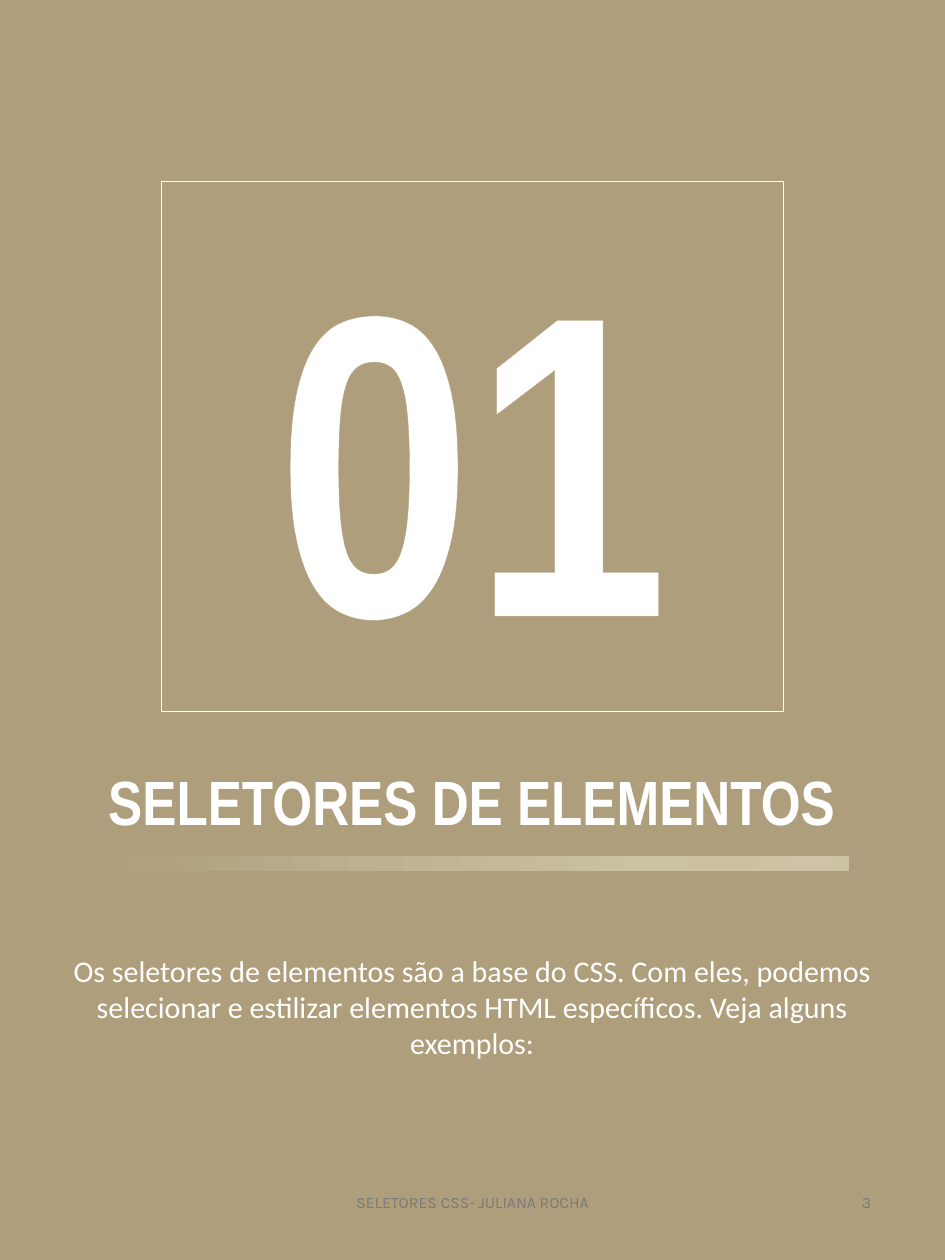
from lxml import etree
from pptx import Presentation
from pptx.dml.color import RGBColor
from pptx.enum.shapes import MSO_SHAPE
from pptx.enum.text import MSO_ANCHOR, MSO_AUTO_SIZE, PP_ALIGN
from pptx.oxml.ns import qn
from pptx.util import Cm, Pt

RECTANGLE = MSO_SHAPE.RECTANGLE
TOP, MIDDLE = MSO_ANCHOR.TOP, MSO_ANCHOR.MIDDLE
GROW, FIXED = MSO_AUTO_SIZE.SHAPE_TO_FIT_TEXT, MSO_AUTO_SIZE.NONE
CENTER, RIGHT = PP_ALIGN.CENTER, PP_ALIGN.RIGHT

COLORS = {
    "sand": "AF9E7B",
    "white": "FFFFFF",
    "gray": "797979",
    "sage": "CBC3A3",
    "beige": "CCBFA2",
    "cream": "CEC2A7",
}
BAR_STOPS = [(0, "sand"), (74, "sage"), (83, "beige"), (96, "cream"), (100, "sage")]

FORMATS = {
    "number": {"name": "Arial Narrow", "size": Pt(344), "bold": True},
    "title": {"name": "Arial Narrow", "size": Pt(50), "bold": True},
    "body": {"name": "Calibri", "size": Pt(24), "bold": False},
    "footer": {"name": "Karla", "size": Pt(12.6), "bold": False},
}


def rgb(color):
    """Return the named colour."""
    return RGBColor.from_string(COLORS[color])


def add_color_fill(parent, color):
    """Append a colour element to an XML parent."""
    etree.SubElement(parent, qn("a:srgbClr"), val=COLORS[color])


def add_rectangle(slide, box, fill=None, line=None, width=0.75):
    """Add a rectangle with an optional fill and outline."""
    shape = slide.shapes.add_shape(RECTANGLE, *map(Cm, box))
    shape.shadow.inherit = False
    if fill:
        shape.fill.solid()
        shape.fill.fore_color.rgb = rgb(fill)
    else:
        shape.fill.background()
    if line:
        shape.line.color.rgb = rgb(line)
        shape.line.width = Pt(width)
    else:
        shape.line.fill.background()
    return shape


def set_gradient(shape, stops):
    """Fill a shape with a left-to-right gradient."""
    shape.fill.gradient()
    shape.fill.gradient_angle = 0
    stop_list = next(shape.element.iter(qn("a:gsLst")))
    for stop in list(stop_list):
        stop_list.remove(stop)
    for position, color in stops:
        stop = etree.SubElement(stop_list, qn("a:gs"), pos=str(position * 1000))
        add_color_fill(stop, color)


def set_text(shape, text, style, color="white", align=CENTER, anchor=TOP, fit=GROW):
    """Write one formatted paragraph into a shape and return its run."""
    frame = shape.text_frame
    for name, value in {"word_wrap": True, "auto_size": fit, "vertical_anchor": anchor}.items():
        setattr(frame, name, value)
    paragraph = frame.paragraphs[0]
    paragraph.alignment = align
    paragraph.space_before = Pt(0)
    run = paragraph.add_run()
    run.text = text
    for name, value in FORMATS[style].items():
        setattr(run.font, name, value)
    run.font.color.rgb = rgb(color)
    return run


def outline_text(run, color, width):
    """Draw an outline around the letters of a run."""
    line = etree.Element(qn("a:ln"), w=str(Pt(width)))
    add_color_fill(etree.SubElement(line, qn("a:solidFill")), color)
    run.font._element.insert(0, line)


def fill_placeholder(slide, placeholder, box, text, style):
    """Move a placeholder to its box, in front, and write its text without a bullet."""
    for name, value in zip(("left", "top", "width", "height"), box):
        setattr(placeholder, name, Cm(value))
    slide.shapes.element.append(placeholder.element)
    properties = placeholder.text_frame.paragraphs[0]._p.get_or_add_pPr()
    properties.set("marL", "0")
    properties.set("indent", "0")
    etree.SubElement(properties, qn("a:buNone"))
    set_text(placeholder, text, style)


def add_footer(slide, box, text, align):
    """Add a small gray text at the foot of the page."""
    shape = slide.shapes.add_textbox(*map(Cm, box))
    set_text(shape, text, "footer", "gray", align, MIDDLE, FIXED)


def main():
    """Build the chapter page."""
    presentation = Presentation()
    presentation.slide_width, presentation.slide_height = Cm(26.67), Cm(35.56)
    slide = presentation.slides.add_slide(presentation.slide_layouts[1])
    title, body = slide.placeholders

    add_rectangle(slide, (0, 0, 26.67, 35.56), "sand", "sand", 1.5)
    fill_placeholder(slide, title, (1.07, 21.41, 24.51, 2.39),
                     "SELETORES DE ELEMENTOS", "title")
    number_frame = add_rectangle(slide, (4.57, 5.13, 17.53, 14.96), line="white")
    outline_text(set_text(number_frame, "01", "number"), "sand", 0.75)
    bar = add_rectangle(slide, (2.79, 24.16, 21.16, 0.41))
    set_gradient(bar, BAR_STOPS)
    fill_placeholder(slide, body, (1.07, 26.75, 24.51, 3.33),
                     "Os seletores de elementos são a base do CSS. Com eles, podemos "
                     "selecionar e estilizar elementos HTML específicos. "
                     "Veja alguns exemplos:", "body")
    add_footer(slide, (8.84, 32.97, 8.99, 1.9), "SELETORES CSS- JULIANA ROCHA", CENTER)
    add_footer(slide, (18.85, 32.97, 5.99, 1.9), "3", RIGHT)
    presentation.save("out.pptx")


if __name__ == "__main__":
    main()
